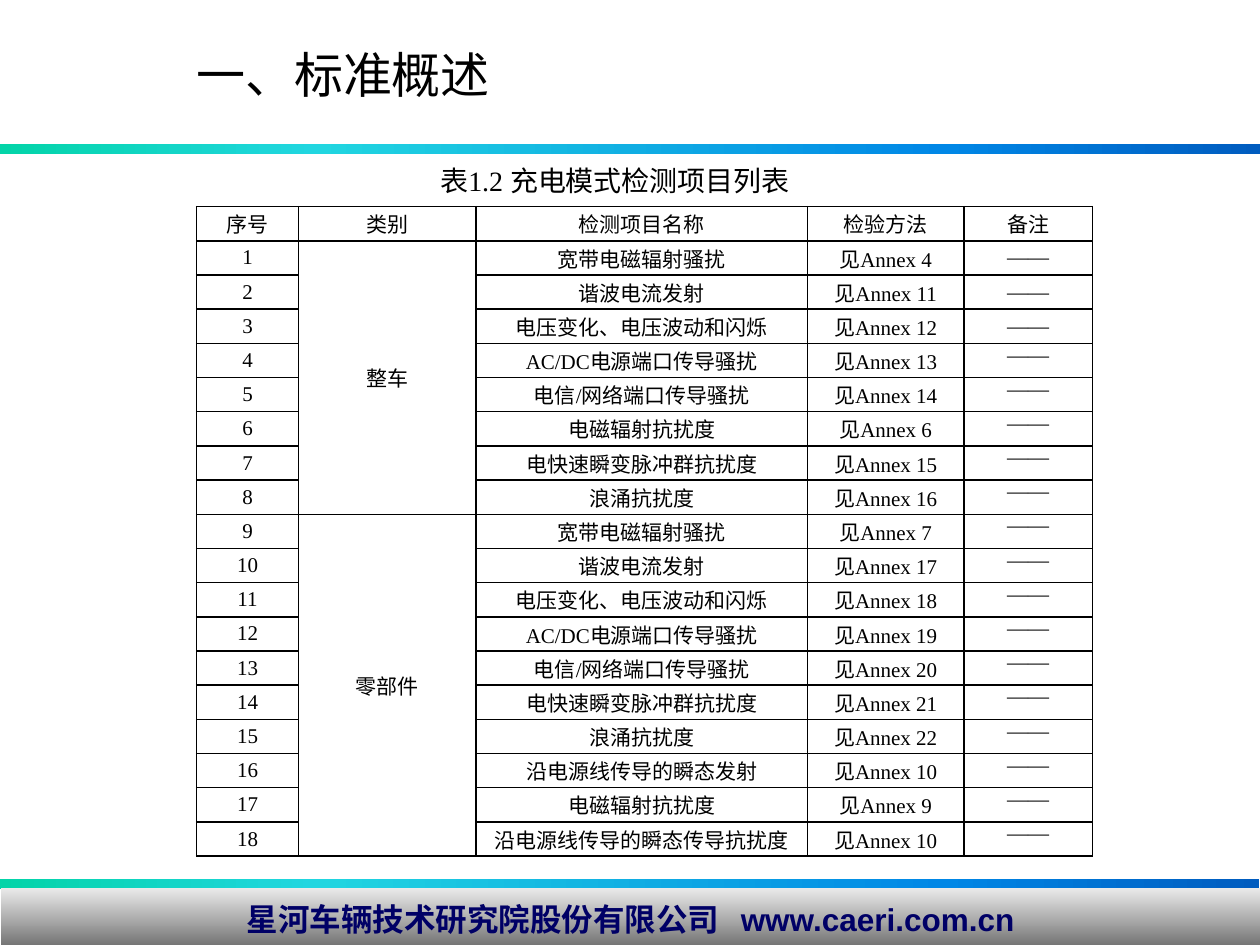
from pptx import Presentation, util as u
from pptx.dml.color import RGBColor
from pptx.enum import shapes, text
from pptx.oxml import parse_xml
from pptx.oxml.ns import nsdecls

deck = Presentation()
deck.slide_width, deck.slide_height = u.Inches(10), u.Inches(7.5)
slide = deck.slides.add_slide(deck.slide_layouts[6])
unit = deck.slide_width / 100  # grid of 100 columns by 75 rows


def grid(*vals):
    return [round(val * unit) for val in vals]


def style(frame, size, face, ink, align, bold=False):
    para = frame.paragraphs[0]
    para.alignment = align
    font = para.runs[0].font
    font.size, font.name, font.bold = u.Pt(size), face, bold
    font.color.rgb = RGBColor.from_string(ink)


mid, left = text.PP_ALIGN.CENTER, text.PP_ALIGN.LEFT

# Gradient bars and footer band
sea = [(0, "03D4A8"), (25, "21D6E0"), (75, "0087E6"), (100, "005CBF")]
gray = [(0, "EAEAEA"), (100, "6C6C6C")]
bars = [((0, 69.8, 99.9, 0.8), sea, 0),
        ((0, 11.4, 100, 0.8), sea, 0),
        ((0.1, 70.5, 99.9, 4.9), gray, 90)]
for area, stops, turn in bars:
    bar = slide.shapes.add_shape(shapes.MSO_SHAPE.RECTANGLE, *grid(*area))
    bar.shadow.inherit = False
    bar.line.fill.background()
    marks = "".join(f'<a:gs pos="{pos * 1000}"><a:srgbClr val="{ink}"/></a:gs>'
                    for pos, ink in stops)
    bar._element.spPr.find("{*}prstGeom").addnext(parse_xml(
        f'<a:gradFill {nsdecls("a")} rotWithShape="1"><a:gsLst>{marks}</a:gsLst>'
        f'<a:lin ang="{turn * 60000}" scaled="0"/></a:gradFill>'))

foot = bar.text_frame
foot.text = "星河车辆技术研究院股份有限公司   www.caeri.com.cn"
foot.vertical_anchor = text.MSO_ANCHOR.MIDDLE
foot.margin_top = foot.margin_bottom = 0
style(foot, 18, "Arial", "000066", mid, True)

# Test table: category, then its items with their annex numbers
groups = [
    ("整车", [("宽带电磁辐射骚扰", 4), ("谐波电流发射", 11),
              ("电压变化、电压波动和闪烁", 12), ("AC/DC电源端口传导骚扰", 13),
              ("电信/网络端口传导骚扰", 14), ("电磁辐射抗扰度", 6),
              ("电快速瞬变脉冲群抗扰度", 15), ("浪涌抗扰度", 16)]),
    ("零部件", [("宽带电磁辐射骚扰", 7), ("谐波电流发射", 17),
                ("电压变化、电压波动和闪烁", 18), ("AC/DC电源端口传导骚扰", 19),
                ("电信/网络端口传导骚扰", 20), ("电快速瞬变脉冲群抗扰度", 21),
                ("浪涌抗扰度", 22), ("沿电源线传导的瞬态发射", 10),
                ("电磁辐射抗扰度", 9), ("沿电源线传导的瞬态传导抗扰度", 10)]),
]
rows = [["序号", "类别", "检测项目名称", "检验方法", "备注"]]
spans = []
for kind, items in groups:
    spans.append((len(rows), len(rows) + len(items) - 1))
    for nth, (name, annex) in enumerate(items):
        rows.append([str(len(rows)), "" if nth else kind, name,
                     f"见Annex {annex}", "——"])

wide = [8.1, 14.1, 26.3, 12.4, 10.2]
table = slide.shapes.add_table(len(rows), len(wide),
                               *grid(15.6, 16.4, sum(wide), 51.6)).table
table.first_row = table.horz_banding = False
for col, size in zip(table.columns, grid(*wide)):
    col.width = size
for row in table.rows:
    row.height = round(51.6 * unit / len(rows))

for r, row in enumerate(rows):
    for c, word in enumerate(row):
        cell = table.cell(r, c)
        cell.margin_left = cell.margin_right = u.Inches(0.07)
        cell.margin_top = cell.margin_bottom = 0
        high = c == 4 and r > 3  # later remarks sit at the top
        cell.vertical_anchor = text.MSO_ANCHOR.TOP if high else text.MSO_ANCHOR.MIDDLE
        for side in "LRTB":
            cell._tc.get_or_add_tcPr().append(parse_xml(
                f'<a:ln{side} {nsdecls("a")} w="12700"><a:solidFill>'
                f'<a:srgbClr val="000000"/></a:solidFill></a:ln{side}>'))
        cell.fill.background()
        if word:
            cell.text_frame.text = word
            style(cell.text_frame, 12, "Times New Roman", "000000", mid)
for top, end in spans:
    table.cell(top, 1).merge(table.cell(end, 1))

# Caption with a soft text shadow
note = slide.shapes.add_textbox(*grid(33.2, 12.5, 31.2, 3.7)).text_frame
note.text = "表1.2 充电模式检测项目列表"
note.word_wrap = False
note.vertical_anchor = text.MSO_ANCHOR.MIDDLE
style(note, 16, "Times New Roman", "000000", mid)
note.paragraphs[0].runs[0]._r.rPr.find("{*}solidFill").addnext(parse_xml(
    f'<a:effectLst {nsdecls("a")}><a:outerShdw blurRad="38100" dist="38100" dir="2700000">'
    '<a:srgbClr val="C0C0C0"/></a:outerShdw></a:effectLst>'))

# Title
head = slide.shapes.add_textbox(*grid(14.6, 3, 80.4, 8.5)).text_frame
head.text = "一、标准概述"
head.word_wrap = True
style(head, 28, "Calibri", "000000", left)

deck.save("out.pptx")
